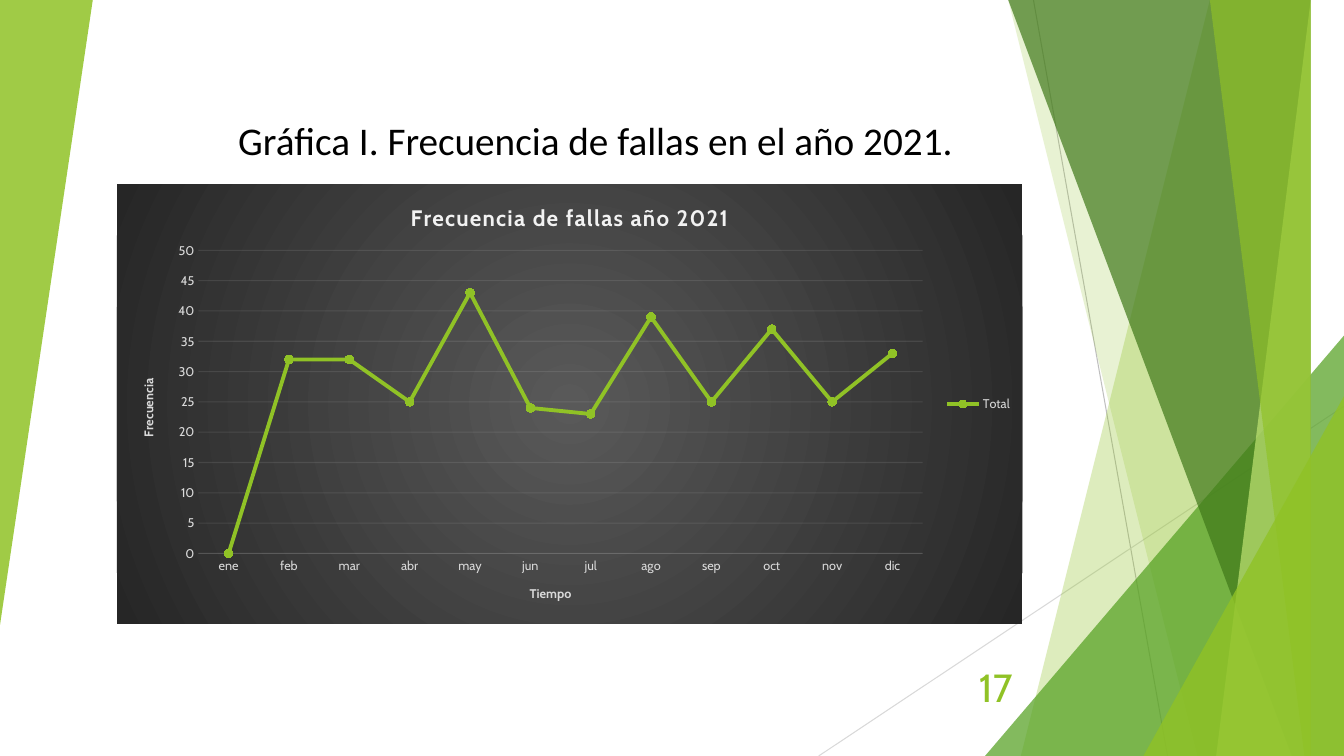
from dataclasses import dataclass

from lxml import etree
from pptx import Presentation
from pptx import util as u
from pptx.chart.data import CategoryChartData
from pptx.dml.color import RGBColor
from pptx.enum import chart as ch, shapes, text
from pptx.oxml import parse_xml
from pptx.oxml.ns import nsdecls, qn


@dataclass(frozen=True)
class Theme:
    heading_font: str = "Calibri"
    body_font: str = "Cabin"
    lime: str = "90C226"
    marker: str = "93CA1E"
    pale: str = "F2F2F2"
    label: str = "D9D9D9"
    black: str = "000000"
    glow: str = "595959"
    dark: str = "262626"
    heading_size: int = 28
    chart_title_size: int = 16
    label_size: int = 9


THEME = Theme()
WIDTH, HEIGHT = 13.33, 7.5

CAPTION = "Gráfica I. Frecuencia de fallas en el año 2021."
PAGE_NUMBER = "17"
CHART_TITLE = "Frecuencia de fallas año 2021"
AXIS_TITLES = ("Tiempo", "Frecuencia")
SERIES = "Total"
FAILURES = {"ene": 0, "feb": 32, "mar": 32, "abr": 25, "may": 43, "jun": 24,
            "jul": 23, "ago": 39, "sep": 25, "oct": 37, "nov": 25, "dic": 33}

# start, end, colour
HAIRLINES = [((10.25, 0), (11.58, HEIGHT), "BFBFBF"),
             ((WIDTH, 4.03), (8.12, HEIGHT), "D9D9D9")]
# Bands reach the right edge: ("band", left at top, left at bottom, colour, opacity %)
# Wedges fill the lower right corner: ("wedge", left, top, colour, opacity %)
FACETS = [("band", 12.28, 10.04, THEME.lime, 30),
          ("band", 10.5, 11.83, THEME.lime, 20),
          ("wedge", 9.77, 3.33, "54A021", 72),
          ("band", 10.21, 12.91, "3F7819", 70),
          ("band", 13.03, 11.92, "C0E474", 70),
          ("band", 11.96, 13.18, THEME.lime, 65),
          ("wedge", 11.34, 3.93, THEME.lime, 80)]
LEFT_WEDGE = (0, 0, 0.92, 6.2)

CHART_BOX = (1.16, 1.83, 8.98, 4.36)
PLOT_SHARES = {"x": 0.09, "y": 0.15, "w": 0.8, "h": 0.69}
CAPTION_BOX = (2.22, 1.01, 7.37, 0.67)
NUMBER_BOX = (9.39, 6.61, 0.75, 0.4)


def rgb(code):
    return RGBColor.from_string(code)


def inches(values):
    return [u.Inches(value) for value in values]


def set_opacity(element, percent):
    for color in element.iter(qn("a:srgbClr")):
        etree.SubElement(color, qn("a:alpha")).set("val", str(percent * 1000))


def set_font(font, name, size, color, bold=False):
    font.name, font.size, font.bold = name, u.Pt(size), bold
    font.color.rgb = rgb(color)


def paint(shape, color, opacity):
    shape.shadow.inherit = False
    shape.fill.solid()
    shape.fill.fore_color.rgb = rgb(color)
    set_opacity(shape.element.spPr, opacity)
    shape.line.fill.background()


def add_hairline(slide, start, end, color):
    line = slide.shapes.add_connector(
        shapes.MSO_CONNECTOR.STRAIGHT, *inches(start + end))
    line.line.color.rgb = rgb(color)
    line.line.width = u.Pt(0.75)
    etree.SubElement(line.element.spPr, qn("a:effectLst"))


def add_band(slide, top_left, bottom_left):
    builder = slide.shapes.build_freeform(top_left, 0, scale=u.Inches(1))
    builder.add_line_segments(
        [(WIDTH, 0), (WIDTH, HEIGHT), (bottom_left, HEIGHT)], close=True)
    return builder.convert_to_shape()


def add_wedge(slide, box):
    """Add a right-angled triangle whose apex is at the upper right."""
    wedge = slide.shapes.add_shape(
        shapes.MSO_SHAPE.ISOSCELES_TRIANGLE, *inches(box))
    wedge.adjustments[0] = 1
    return wedge


def add_facets(slide):
    for kind, first, second, color, opacity in FACETS:
        if kind == "band":
            facet = add_band(slide, first, second)
        else:
            facet = add_wedge(slide, (first, second, WIDTH - first, HEIGHT - second))
        paint(facet, color, opacity)
    left_wedge = add_wedge(slide, LEFT_WEDGE)
    left_wedge.rotation = 180
    paint(left_wedge, THEME.lime, 85)


def add_text(slide, box, content, align, font, color):
    frame = slide.shapes.add_textbox(*inches(box)).text_frame
    paragraph = frame.paragraphs[0]
    paragraph.text = content
    paragraph.alignment = align
    set_font(paragraph.font, font, THEME.heading_size, color)
    return frame


def set_title(owner, content, size, color):
    paragraph = owner.text_frame.paragraphs[0]
    paragraph.text = content
    set_font(paragraph.font, THEME.body_font, size, color, bold=True)
    return paragraph


def style_line(line, color, width):
    line.color.rgb = rgb(color)
    line.width = u.Pt(width)


def set_chart_background(chart):
    stops = "".join(
        f'<a:gs pos="{place}"><a:srgbClr val="{color}"/></a:gs>'
        for place, color in ((0, THEME.glow), (100000, THEME.dark)))
    chart.element.find(qn("c:chart")).addnext(parse_xml(
        f'<c:spPr {nsdecls("c", "a")}><a:gradFill><a:gsLst>{stops}</a:gsLst>'
        '<a:path path="circle"><a:fillToRect l="50000" t="50000" r="50000" b="50000"/>'
        '</a:path></a:gradFill><a:ln><a:noFill/></a:ln></c:spPr>'))


def set_plot_layout(chart):
    area = chart.element.find(qn("c:chart")).find(qn("c:plotArea"))
    for layout in area.findall(qn("c:layout")):
        area.remove(layout)
    shares = "".join(f'<c:{key} val="{share}"/>' for key, share in PLOT_SHARES.items())
    area.insert(0, parse_xml(
        f'<c:layout {nsdecls("c")}><c:manualLayout><c:layoutTarget val="inner"/>'
        f'<c:xMode val="edge"/><c:yMode val="edge"/>{shares}'
        '</c:manualLayout></c:layout>'))


def add_failure_chart(slide):
    data = CategoryChartData()
    data.categories = list(FAILURES)
    data.add_series(SERIES, list(FAILURES.values()))
    chart = slide.shapes.add_chart(
        ch.XL_CHART_TYPE.LINE_MARKERS, *inches(CHART_BOX), data).chart
    set_font(chart.font, THEME.body_font, 10, THEME.black)
    chart.has_title = True
    title = set_title(chart.chart_title, CHART_TITLE, THEME.chart_title_size, THEME.pale)
    title.runs[0].font._element.set("spc", "100")

    months, counts = chart.category_axis, chart.value_axis
    for axis, name in zip((months, counts), AXIS_TITLES):
        set_title(axis.axis_title, name, THEME.label_size, THEME.label)
        set_font(axis.tick_labels.font, THEME.body_font, THEME.label_size, THEME.label)
        axis.major_tick_mark = axis.minor_tick_mark = ch.XL_TICK_MARK.NONE
    counts.minimum_scale, counts.maximum_scale, counts.major_unit = 0, 50, 5
    counts.format.line.fill.background()
    style_line(months.format.line, THEME.pale, 0.75)
    style_line(counts.major_gridlines.format.line, THEME.pale, 0.75)
    for line in chart.element.iter(qn("a:ln")):
        set_opacity(line, 10)

    chart.has_legend = True
    chart.legend.position = ch.XL_LEGEND_POSITION.RIGHT
    chart.legend.include_in_layout = False
    set_font(chart.legend.font, THEME.body_font, THEME.label_size, THEME.label)

    chart.plots[0].vary_by_categories = False
    total = chart.plots[0].series[0]
    total.smooth = False
    style_line(total.format.line, THEME.lime, 2.75)
    total.marker.style, total.marker.size = ch.XL_MARKER_STYLE.CIRCLE, 6
    total.marker.format.fill.solid()
    total.marker.format.fill.fore_color.rgb = rgb(THEME.marker)
    total.marker.format.line.fill.background()
    set_chart_background(chart)
    set_plot_layout(chart)


def main():
    presentation = Presentation()
    presentation.slide_width, presentation.slide_height = inches((WIDTH, HEIGHT))
    slide = presentation.slides.add_slide(presentation.slide_layouts[6])
    for hairline in HAIRLINES:
        add_hairline(slide, *hairline)
    add_facets(slide)
    number = add_text(slide, NUMBER_BOX, PAGE_NUMBER, text.PP_ALIGN.RIGHT,
                      THEME.body_font, THEME.lime)
    number.word_wrap = True
    number.vertical_anchor = text.MSO_ANCHOR.MIDDLE
    caption = add_text(slide, CAPTION_BOX, CAPTION, text.PP_ALIGN.CENTER,
                       THEME.heading_font, THEME.black)
    caption.word_wrap = False
    caption.auto_size = text.MSO_AUTO_SIZE.SHAPE_TO_FIT_TEXT
    caption.paragraphs[0].line_spacing = 1.2
    caption.paragraphs[0].space_after = u.Pt(10)
    add_failure_chart(slide)
    presentation.save("out.pptx")


if __name__ == "__main__":
    main()
